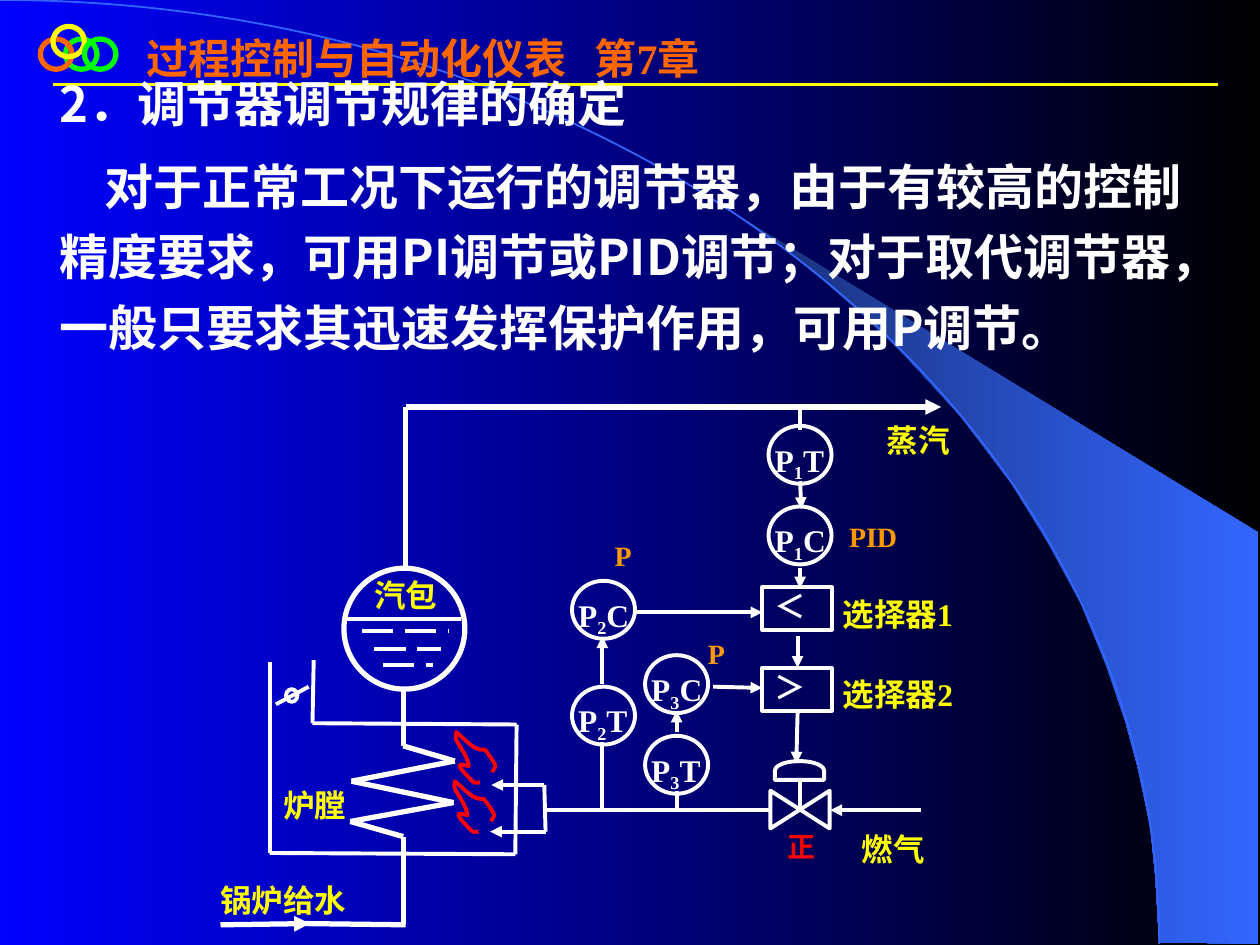
from itertools import pairwise

from lxml import etree
from pptx import Presentation
from pptx.dml.color import RGBColor
from pptx.enum.dml import MSO_LINE
from pptx.enum.shapes import MSO_CONNECTOR, MSO_SHAPE
from pptx.enum.text import MSO_ANCHOR, PP_ALIGN
from pptx.oxml.ns import qn
from pptx.util import Cm, Pt

STRAIGHT, LONG_DASH = MSO_CONNECTOR.STRAIGHT, MSO_LINE.LONG_DASH
OVAL, RECTANGLE = MSO_SHAPE.OVAL, MSO_SHAPE.RECTANGLE
DAMPER, VALVE = MSO_SHAPE.FLOWCHART_CONNECTOR, MSO_SHAPE.FLOWCHART_COLLATE
ACTUATOR = MSO_SHAPE.FLOWCHART_DELAY
TOP, JUSTIFY, LEFT = MSO_ANCHOR.TOP, PP_ALIGN.JUSTIFY, PP_ALIGN.LEFT

THEME = dict(
    white="FFFFFF", yellow="FFFF00", orange="FF9900", header="FF6600", red="FF0000",
    green="00FF00", arc="3366FF", shade="182F76", back=("0000FF", "000000"),
    latin="Times New Roman", cjk="Noto Sans CJK SC",
    header_size=24, body_size=28, label_size=18, mode_size=16,
    thin=2.25, thick=3, rule=1.5,
)

# Content; all places are in inches
HEADER = "过程控制与自动化仪表\t第7章"
BODY = ["2．调节器调节规律的确定",
        "对于正常工况下运行的调节器，由于有较高的控制精度要求，可用PI调节或PID调节；"
        "对于取代调节器，一般只要求其迅速发挥保护作用，可用P调节。"]
CRESCENT = [(9.2, 7.48), (9.99, 7.49), (9.99, 4.23), (5.89, 1.73), (6.24, 1.99), (6.53, 2.22),
            (6.85, 2.5), (7.16, 2.8), (7.62, 3.3), (8.03, 3.84), (8.32, 4.31), (8.58, 4.79),
            (8.78, 5.28), (8.93, 5.72), (9.03, 6.09), (9.13, 6.56), (9.17, 6.96)]
ARC = [(0, 0), (5.08, 0), (9.2, 3.35), (9.2, 7.49)]
RINGS = [("green", 0.52, 0.31), ("header", 0.32, 0.31), ("yellow", 0.42, 0.21),
         ("green", 0.67, 0.31)]
FLAME = [(3.8, 6.21), (3.78, 6.21), (3.76, 6.22), (3.74, 6.2), (3.57, 6.03), (3.65, 6.07),
         (3.71, 6.08), (3.71, 6.06), (3.7, 6.03), (3.69, 6.01), (3.69, 6), (3.62, 5.89),
         (3.61, 5.87), (3.6, 5.85), (3.61, 5.83), (3.61, 5.81), (3.71, 5.89), (3.75, 5.96),
         (3.84, 5.95), (3.87, 5.99), (3.9, 6.03), (3.92, 6.07), (3.93, 6.09), (3.9, 6.11),
         (3.9, 6.13)]
FLAME_SHIFTS = [(0.01, 0), (0, 0.39)]

THICK_PIPES = [
    [(3.2, 5.48), (3.2, 5.92), (3.61, 6.04), (2.79, 6.2), (3.6, 6.37), (2.78, 6.52),
     (3.2, 6.64), (3.2, 7.33)],
    [(3.22, 7.34), (2.42, 7.33)],
    [(3.22, 4.51), (3.22, 3.23)],
]
THICK_ARROWS = [[(1.75, 7.34), (2.46, 7.33)], [(3.22, 3.23), (7.47, 3.23)]]
THIN_PIPES = [
    [(2.14, 5.25), (2.14, 6.77), (4.09, 6.78), (4.1, 5.75), (2.48, 5.74), (2.49, 5.24)],
    [(4.34, 6.43), (6.13, 6.43)],
    [(4.32, 6.23), (4.33, 6.6)],
    [(4.78, 6.43), (4.78, 5.89)],
    [(5.37, 6.28), (5.37, 6.42)],
    [(6.35, 3.24), (6.35, 3.41)],
    [(2.19, 5.59), (2.45, 5.45)],
    [(6.35, 6.19), (6.35, 6.44)],
    [(2.73, 4.91), (3.66, 4.91)],
]
THIN_ARROWS = [
    [(7.31, 6.43), (6.59, 6.43)], [(6.33, 5.66), (6.32, 6.06)], [(4.33, 6.6), (3.89, 6.6)],
    [(4.32, 6.23), (3.9, 6.23)], [(6.33, 5.05), (6.33, 5.3)], [(6.35, 3.82), (6.36, 4.04)],
    [(6.35, 4.51), (6.35, 4.67)], [(5.66, 5.45), (6.05, 5.46)], [(5.37, 5.81), (5.37, 5.64)],
    [(4.78, 5.43), (4.78, 5.05)], [(5.03, 4.86), (6.05, 4.86)],
]
WATER = [[(2.87, 5.01), (3.56, 5.01)], [(2.97, 5.15), (3.5, 5.15)], [(3.04, 5.28), (3.44, 5.28)]]
INSTRUMENTS = [("P1T", 6.1, 3.38), ("P1C", 6.1, 4.02), ("P2C", 4.54, 4.61), ("P2T", 4.54, 5.45),
               ("P3C", 5.12, 5.2), ("P3T", 5.12, 5.84)]
SELECTORS = [("＜", 4.66), ("＞", 5.3)]
LABELS = [("蒸汽", 6.94, 3.23, 0.88), ("汽包", 2.87, 4.46, 0.88), ("炉膛", 2.15, 6.13, 0.8),
          ("锅炉给水", 1.65, 6.88, 1.45), ("燃气", 6.74, 6.48, 0.81),
          ("选择器1", 6.59, 4.61, 1.26), ("选择器2", 6.59, 5.25, 1.39)]
MODES = [("正", 6.15, 6.48, "red"), ("P", 5.52, 4.95, "orange"), ("P", 4.78, 4.17, "orange"),
         ("PID", 6.64, 4.02, "orange")]


def inch(value):
    return Cm(value * 2.54)


def color(name):
    return RGBColor.from_string(THEME.get(name, name))


def outline(shape, name, width):
    shape.line.color.rgb = color(name)
    shape.line.width = Pt(width)


def blend(fill, start, end):
    fill.gradient()
    fill.gradient_angle = 0
    for stop, name, position in zip(fill.gradient_stops, (start, end), (0, 1)):
        stop.color.rgb = color(name)
        stop.position = position


def add_lines(points, name="white", width=THEME["thin"], arrow=False, dash=None):
    for start, end in pairwise(points):
        line = slide.shapes.add_connector(STRAIGHT, *map(inch, start + end))
        outline(line, name, width)
        if dash:
            line.line.dash_style = dash
        if arrow:
            etree.SubElement(line.line._get_or_add_ln(), qn("a:tailEnd"), type="triangle")
        etree.SubElement(line._element.spPr, qn("a:effectLst"))


def add_outline(kind, place, name="white", width=THEME["thin"], rotation=0):
    shape = slide.shapes.add_shape(kind, *map(inch, place))
    shape.shadow.inherit = False
    shape.fill.background()
    outline(shape, name, width)
    shape.rotation = rotation
    return shape


def add_freeform(points, closed=False):
    scaled = [(inch(x), inch(y)) for x, y in points]
    builder = slide.shapes.build_freeform(*scaled[0], scale=1.0)
    builder.add_line_segments(scaled[1:], close=closed)
    shape = builder.convert_to_shape()
    shape.shadow.inherit = False
    shape.fill.background()
    return shape


def add_curve(points, name, width):
    """Draw a chain of cubic segments: each takes three further points."""
    shape = add_freeform(points)
    outline(shape, name, width)
    steps = list(shape._element.iter(qn("a:lnTo")))
    for first in range(0, len(steps), 3):
        cubic = etree.SubElement(steps[first].getparent(), qn("a:cubicBezTo"))
        for step in steps[first:first + 3]:
            cubic.append(step[0])
            step.getparent().remove(step)


def format_span(span, size, name, font=THEME["latin"]):
    span.font.size, span.font.bold, span.font.name = Pt(size), True, font
    span.font.color.rgb = color(name)
    etree.SubElement(span._r.get_or_add_rPr(), qn("a:ea"), typeface=THEME["cjk"])


def write(box, spans, size, name, font=THEME["latin"], align=JUSTIFY, spacing=1.2, top=0.05):
    """Fill a box; every second span is a subscript."""
    frame = box.text_frame
    frame.word_wrap, frame.vertical_anchor = True, TOP
    frame.margin_left = frame.margin_right = inch(0.1)
    frame.margin_top, frame.margin_bottom = inch(top), inch(0.05)
    para = frame.paragraphs[0]
    para.alignment, para.line_spacing = align, spacing
    for index, text in enumerate(spans):
        span = para.add_run()
        span.text = text
        format_span(span, size, name, font)
        if index % 2:
            span._r.get_or_add_rPr().set("baseline", "-25000")
    return para


def add_label(spans, place, **style):
    write(slide.shapes.add_textbox(*map(inch, place)), spans, **style)


def place_holder(holder, place):
    holder.left, holder.top, holder.width, holder.height = map(inch, place)
    slide.shapes._spTree.append(holder._element)  # in front of the backdrop


deck = Presentation()
deck.slide_width, deck.slide_height = inch(10), inch(7.5)
slide = deck.slides.add_slide(deck.slide_layouts[1])
title, body = slide.placeholders

# Backdrop
blend(slide.background.fill, *THEME["back"])
crescent = add_freeform(CRESCENT, closed=True)
blend(crescent.fill, "shade", "arc")
crescent.line.fill.background()
add_curve(ARC, "arc", 1)
add_lines([(0.42, 0.67), (9.67, 0.67)], "yellow", THEME["rule"])
for ring_color, x, y in RINGS:
    add_outline(OVAL, (x, y, 0.25, 0.24), ring_color, THEME["thick"])

# Header and body
place_holder(title, (1.06, 0.21, 8.42, 0.5))
para = write(title, [HEADER], THEME["header_size"], "header", align=LEFT, spacing=1)
tabs = etree.SubElement(para._p.get_or_add_pPr(), qn("a:tabLst"))
etree.SubElement(tabs, qn("a:tab"), pos=str(inch(3.56)), algn="l")
place_holder(body, (0.37, 0.47, 9.3, 3))
write(body, BODY[:1], THEME["body_size"], "white", THEME["cjk"], top=0.02)
span = body.text_frame.add_paragraph().add_run()
span.text = BODY[1]
format_span(span, THEME["body_size"], "white", THEME["cjk"])
for para, indent, before in zip(body.text_frame.paragraphs, (0, 0.36), (0, 7)):
    para.alignment, para.line_spacing, para.space_before = LEFT, 1.2, Pt(before)
    settings = para._p.get_or_add_pPr()
    settings.set("marL", "0")
    settings.set("indent", str(inch(indent)))
    etree.SubElement(settings, qn("a:buNone"))

# Pipes, signals, drum and flames
for pipes, style in [(THICK_PIPES, dict(width=THEME["thick"])),
                     (THICK_ARROWS, dict(width=THEME["thick"], arrow=True)),
                     (THIN_PIPES, {}), (THIN_ARROWS, dict(arrow=True)),
                     (WATER, dict(dash=LONG_DASH))]:
    for points in pipes:
        add_lines(points, **style)
add_outline(OVAL, (2.73, 4.51, 0.96, 0.96), width=THEME["thick"])
add_outline(DAMPER, (2.27, 5.47, 0.09, 0.1))
for dx, dy in FLAME_SHIFTS:
    add_curve([(x + dx, y + dy) for x, y in FLAME], "red", THEME["thin"])

# Valve, selectors and instruments
add_outline(VALVE, (6.2, 6.19, 0.3, 0.47), rotation=270)
add_outline(ACTUATOR, (6.27, 5.92, 0.15, 0.39), rotation=270)
for sign, y in SELECTORS:
    selector = add_outline(RECTANGLE, (6.05, y, 0.55, 0.34))
    write(selector, [sign], THEME["label_size"], "white", THEME["cjk"], spacing=0.85)
for tag, x, y in INSTRUMENTS:
    add_outline(OVAL, (x, y, 0.5, 0.46))
    add_label(tag, (x - 0.05, y, 0.64, 0.34), size=THEME["label_size"], name="white")

# Labels
for text, x, y, width in LABELS:
    add_label([text], (x, y, width, 0.44), size=THEME["label_size"], name="yellow")
for text, x, y, mode_color in MODES:
    add_label([text], (x, y, 0.59, 0.42), size=THEME["mode_size"], name=mode_color, align=LEFT)

deck.save("out.pptx")
